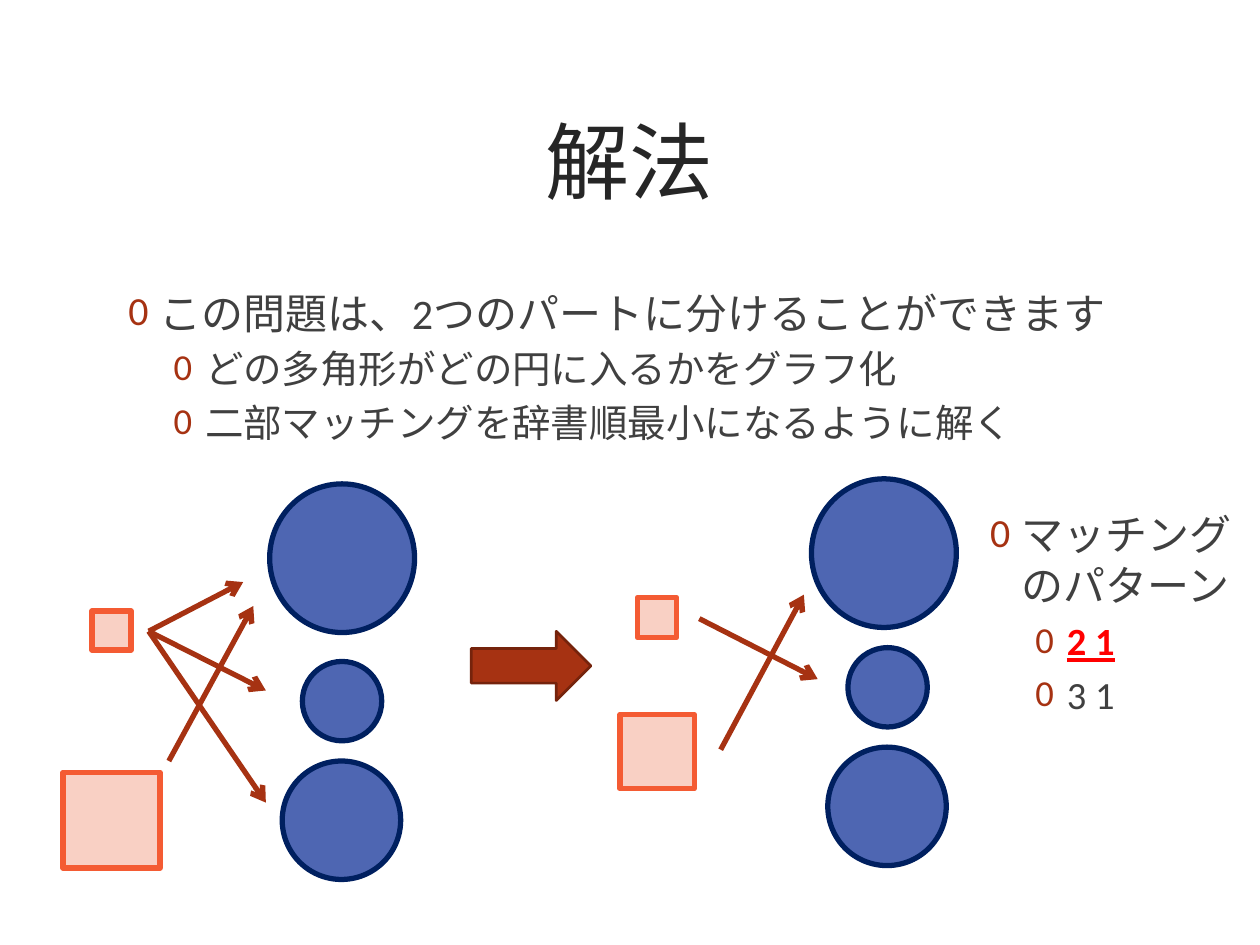
from lxml.etree import SubElement
from pptx import Presentation
from pptx.dml.color import RGBColor
from pptx.enum.shapes import MSO_CONNECTOR, MSO_SHAPE
from pptx.enum.text import MSO_ANCHOR, PP_ALIGN
from pptx.oxml.ns import qn
from pptx.util import Inches, Pt

FONT = "Calibri"
COLORS = {
    "title": "262626", "text": "404040", "answer": "FF0000", "accent": "A63212",
    "arrow_edge": "75230C", "circle": "4E66B2", "circle_edge": "002060",
    "square": "F9D0C4", "square_edge": "F45B33",
}

# Content: text lists hold (level, text, is_answer)
TITLE = "解法"
TEXT_LISTS = [
    ((0.92, 2.23, 8.17, 1.52), [
        (0, "この問題は、2つのパートに分けることができます", False),
        (1, "どの多角形がどの円に入るかをグラフ化", False),
        (1, "二部マッチングを辞書順最小になるように解く", False),
    ]),
    ((7.76, 3.99, 2.18, 2.69), [
        (0, "マッチングのパターン", False),
        (1, "2 1", True),
        (1, "3 1", False),
    ]),
]
LEVELS = [(24, 0.25), (22, 0.61)]  # text size, left indent
HANGING = 0.25

# Each graph: circles and squares as boxes, edges as (start, end)
GRAPHS = [
    {
        "circles": [(2.14, 3.84, 1.15, 1.18), (2.4, 5.25, 0.63, 0.63), (2.24, 6.04, 0.94, 0.94)],
        "squares": [(0.73, 4.85, 0.31, 0.31), (0.5, 6.13, 0.77, 0.76)],
        "edges": [((1.18, 5.01), (1.93, 4.62)), ((1.18, 5.01), (2.11, 5.48)),
                  ((1.18, 5.01), (2.11, 6.37)), ((1.34, 6.04), (2.01, 4.81))],
    },
    {
        "circles": [(6.44, 3.8, 1.15, 1.18), (6.73, 5.14, 0.63, 0.63), (6.57, 5.93, 0.94, 0.94)],
        "squares": [(5.06, 4.74, 0.31, 0.32), (4.92, 5.67, 0.59, 0.59)],
        "edges": [((5.55, 4.91), (6.49, 5.39)), ((5.72, 5.95), (6.38, 4.72))],
    },
]
STEP_ARROW = (3.74, 5.01, 0.95, 0.55)


def color(name):
    return RGBColor.from_string(COLORS[name])


def inches(values):
    return [Inches(value) for value in values]


def set_font(paragraph, size, name):
    font = paragraph.font
    font.name, font.size = FONT, Pt(size)
    font.color.rgb = color(name)
    return font


def add_bullet(paragraph, indent):
    properties = paragraph._p.get_or_add_pPr()
    properties.set("marL", str(Inches(indent)))
    properties.set("indent", str(-Inches(HANGING)))
    bullet_color = SubElement(properties, qn("a:buClr"))
    SubElement(bullet_color, qn("a:srgbClr"), val=COLORS["accent"])
    SubElement(properties, qn("a:buSzPct"), val="95000")
    SubElement(properties, qn("a:buFont"), typeface=FONT)
    SubElement(properties, qn("a:buChar"), char="0")


def add_list(slide, box, items):
    frame = slide.shapes.add_textbox(*inches(box)).text_frame
    frame.word_wrap = True
    for index, (level, text, is_answer) in enumerate(items):
        paragraph = frame.add_paragraph() if index else frame.paragraphs[0]
        size, indent = LEVELS[level]
        paragraph.text, paragraph.level = text, level
        paragraph.space_before = Pt(size * 0.2)
        add_bullet(paragraph, indent)
        font = set_font(paragraph, size, "answer" if is_answer else "text")
        font.bold = font.underline = is_answer


def add_figure(slide, kind, box, fill, edge, width=3):
    shape = slide.shapes.add_shape(kind, *inches(box))
    shape.shadow.inherit = False
    shape.fill.solid()
    shape.fill.fore_color.rgb = color(fill)
    shape.line.color.rgb = color(edge)
    shape.line.width = Pt(width)


def add_edge(slide, start, end):
    connector = slide.shapes.add_connector(MSO_CONNECTOR.STRAIGHT, *inches(start + end))
    connector.line.color.rgb = color("accent")
    connector.line.width = Pt(3)
    SubElement(connector.line._get_or_add_ln(), qn("a:tailEnd"), type="arrow")
    SubElement(connector._element.spPr, qn("a:effectLst"))


presentation = Presentation()
presentation.slide_width, presentation.slide_height = Inches(10), Inches(7.5)
slide = presentation.slides.add_slide(presentation.slide_layouts[5])

# Title
title = slide.shapes.title
title.left, title.top, title.width, title.height = inches((0.6, 0.48, 8.8, 1.58))
title.text_frame.text = TITLE
title.text_frame.vertical_anchor = MSO_ANCHOR.MIDDLE
heading = title.text_frame.paragraphs[0]
heading.alignment = PP_ALIGN.CENTER
set_font(heading, 48, "title")

# Bulleted text
for box, items in TEXT_LISTS:
    add_list(slide, box, items)

# Graphs and the arrow between them
for graph in GRAPHS:
    for box in graph["circles"]:
        add_figure(slide, MSO_SHAPE.OVAL, box, "circle", "circle_edge")
    for box in graph["squares"]:
        add_figure(slide, MSO_SHAPE.RECTANGLE, box, "square", "square_edge")
    for start, end in graph["edges"]:
        add_edge(slide, start, end)
add_figure(slide, MSO_SHAPE.RIGHT_ARROW, STEP_ARROW, "accent", "arrow_edge", 1.5)

presentation.save("out.pptx")
